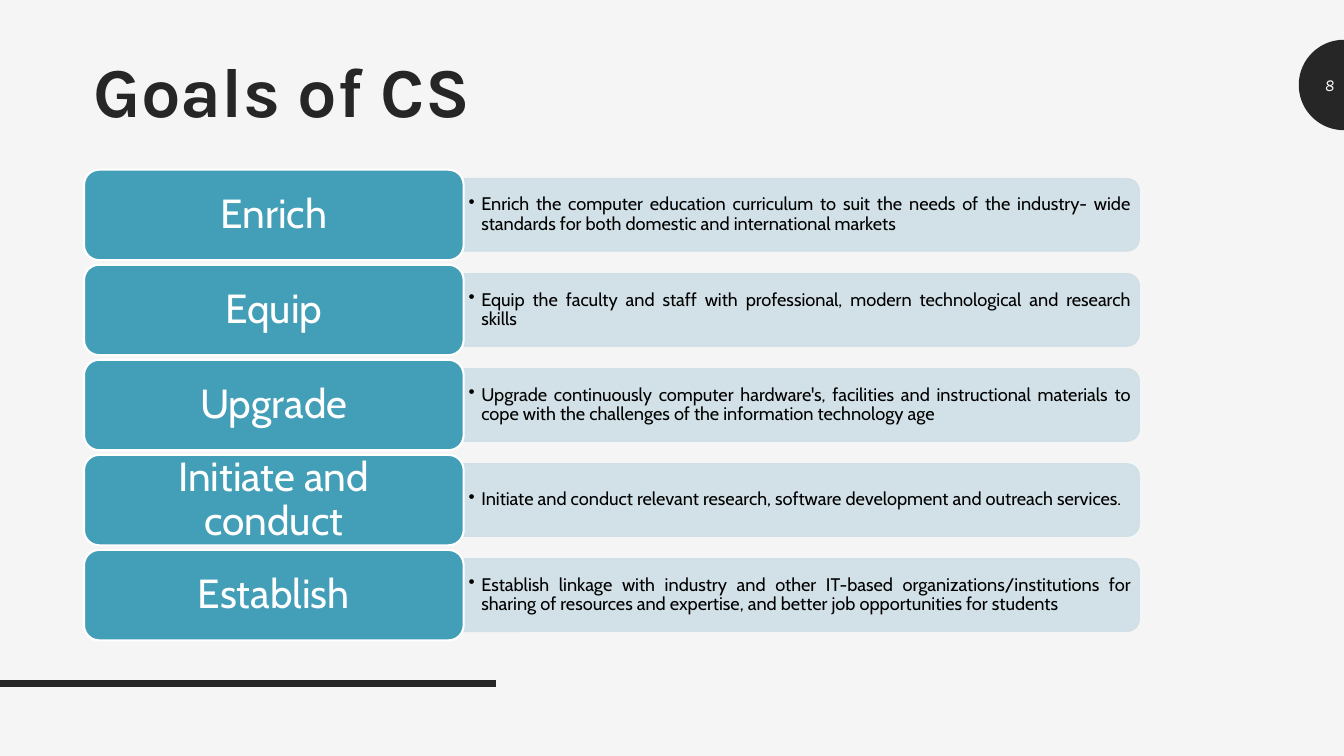
from dataclasses import dataclass
from math import cos, pi, sin

from lxml import etree
from pptx import Presentation
from pptx.dml.color import RGBColor
from pptx.enum.shapes import MSO_CONNECTOR as Link, MSO_SHAPE as Shape
from pptx.enum.text import MSO_ANCHOR as Anchor, PP_ALIGN as Align
from pptx.oxml.ns import qn
from pptx.util import Pt

PAPER = RGBColor(0xF5, 0xF5, 0xF5)
INK = RGBColor(0x26, 0x26, 0x26)
TEAL = RGBColor(0x43, 0x9E, 0xB7)
MIST = RGBColor(0xCF, 0xDF, 0xE6)
WHITE = RGBColor(0xFF, 0xFF, 0xFF)
BLACK = RGBColor(0, 0, 0)

WIDTH, HEIGHT = 960, 540
TOP, PITCH = 121.2, 67.9
LEFT, BLOCK_W, BLOCK_H = 60, 271.2, 64.6
BAR_W, BAR_H = 482.5, 51.7
NOTE_W, NOTE_H = 479.6, 46.6
RADIUS, MID_Y = 32.3, 60.7
RULE_W, RULE_Y = 354.3, 488.2


@dataclass
class Goal:
    name: str
    note: str


@dataclass
class Style:
    face: str
    size: float
    color: RGBColor
    align: Align = Align.LEFT
    bold: bool = False
    italic: bool = False
    after: float = 0
    lines: float = 0.9
    pad: tuple[float, float] = (7.2, 3.6)


GOALS = [
    Goal("Enrich", "Enrich the computer education curriculum to suit the needs of "
         "the industry- wide standards for both domestic and international markets"),
    Goal("Equip", "Equip the faculty and staff with professional, modern "
         "technological and research skills"),
    Goal("Upgrade", "Upgrade continuously computer hardware's, facilities and "
         "instructional materials to cope with the challenges of the information "
         "technology age"),
    Goal("Initiate and conduct", "Initiate and conduct relevant research, software "
         "development and outreach services."),
    Goal("Establish", "Establish linkage with industry and other IT-based "
         "organizations/institutions for sharing of resources and expertise, and "
         "better job opportunities for students"),
]

TITLE = Style("Karla", 50, INK, bold=True)
NUMBER = Style("Karla", 12, PAPER, Align.RIGHT, italic=True, after=6, lines=1)
NAME = Style("Cabin", 29, WHITE, Align.CENTER, pad=(12.2, 7.5))
NOTE = Style("Cabin", 13, BLACK, Align.JUSTIFY, pad=(3.6, 2.4))


def write(shape, text: str, style: Style, bullet: bool = False) -> None:
    frame = shape.text_frame
    across, down = map(Pt, style.pad)
    layout = {"word_wrap": True, "vertical_anchor": Anchor.MIDDLE,
              "margin_left": across, "margin_right": across,
              "margin_top": down, "margin_bottom": down}
    for key, value in layout.items():
        setattr(frame, key, value)
    para = frame.paragraphs[0]
    if bullet:
        para.level = 1
        props = para._p.get_or_add_pPr()
        props.set("marL", str(Pt(9)))
        props.set("indent", str(-Pt(9)))
        etree.SubElement(props, qn("a:buChar")).set("char", "•")
    para.alignment = style.align
    para.line_spacing = style.lines
    para.space_after = Pt(style.after)
    run = para.add_run()
    run.text = text
    font = {"name": style.face, "size": Pt(style.size),
            "bold": style.bold, "italic": style.italic}
    for key, value in font.items():
        setattr(run.font, key, value)
    run.font.color.rgb = style.color


def add_text(shapes, box: tuple, text: str, style: Style, bullet: bool = False) -> None:
    write(shapes.add_textbox(*map(Pt, box)), text, style, bullet)


def paint(shape, fill: RGBColor, line: RGBColor | None = None, width: float = 1) -> None:
    shape.shadow.inherit = False
    shape.fill.solid()
    shape.fill.fore_color.rgb = fill
    if line is None:
        shape.line.fill.background()
    else:
        shape.line.color.rgb = line
        shape.line.width = Pt(width)


def fade(shape, share: int) -> None:
    """Set the opacity of fill and line, in percent."""
    for color in shape._element.spPr.iter(qn("a:srgbClr")):
        etree.SubElement(color, qn("a:alpha")).set("val", str(share * 1000))


def add_goal(shapes, goal: Goal, top: float) -> None:
    mid = top + BLOCK_H / 2
    edge = LEFT + BLOCK_W
    # The bar stands upright and is turned so that its round corners face right.
    bar = shapes.add_shape(Shape.ROUND_2_SAME_RECTANGLE,
                           Pt(edge + (BAR_W - BAR_H) / 2), Pt(mid - BAR_W / 2),
                           Pt(BAR_H), Pt(BAR_W))
    bar.rotation = 90
    paint(bar, MIST, MIST)
    fade(bar, 90)
    add_text(shapes, (edge, mid - NOTE_H / 2, NOTE_W, NOTE_H), goal.note, NOTE, True)
    block = shapes.add_shape(Shape.ROUNDED_RECTANGLE, Pt(LEFT), Pt(top),
                             Pt(BLOCK_W), Pt(BLOCK_H))
    paint(block, TEAL, WHITE, 1.5)
    write(block, goal.name, NAME)


def add_badge(shapes) -> None:
    """Draw the half disc at the right edge with the page number."""
    steps = 36
    turns = [pi * i / steps for i in range(steps + 1)]
    arc = [(Pt(WIDTH - RADIUS * sin(t)), Pt(MID_Y - RADIUS * cos(t))) for t in turns]
    path = shapes.build_freeform(*arc[0])
    path.add_line_segments(arc[1:], close=True)
    paint(path.convert_to_shape(), INK)
    add_text(shapes, (WIDTH - RADIUS, 46.1, RADIUS, 28.8), "8", NUMBER)


def add_rule(shapes) -> None:
    rule = shapes.add_connector(Link.STRAIGHT, 0, Pt(RULE_Y), Pt(RULE_W), Pt(RULE_Y))
    rule.line.color.rgb = INK
    rule.line.width = Pt(4.5)
    etree.SubElement(rule._element.spPr, qn("a:effectLst"))


def main() -> None:
    deck = Presentation()
    deck.slide_width, deck.slide_height = Pt(WIDTH), Pt(HEIGHT)
    slide = deck.slides.add_slide(deck.slide_layouts[6])
    slide.background.fill.solid()
    slide.background.fill.fore_color.rgb = PAPER
    shapes = slide.shapes
    add_badge(shapes)
    add_rule(shapes)
    add_text(shapes, (LEFT, 28.4, 840, 79), "Goals of CS", TITLE)
    for row, goal in enumerate(GOALS):
        add_goal(shapes, goal, TOP + row * PITCH)
    deck.save("out.pptx")


if __name__ == "__main__":
    main()
